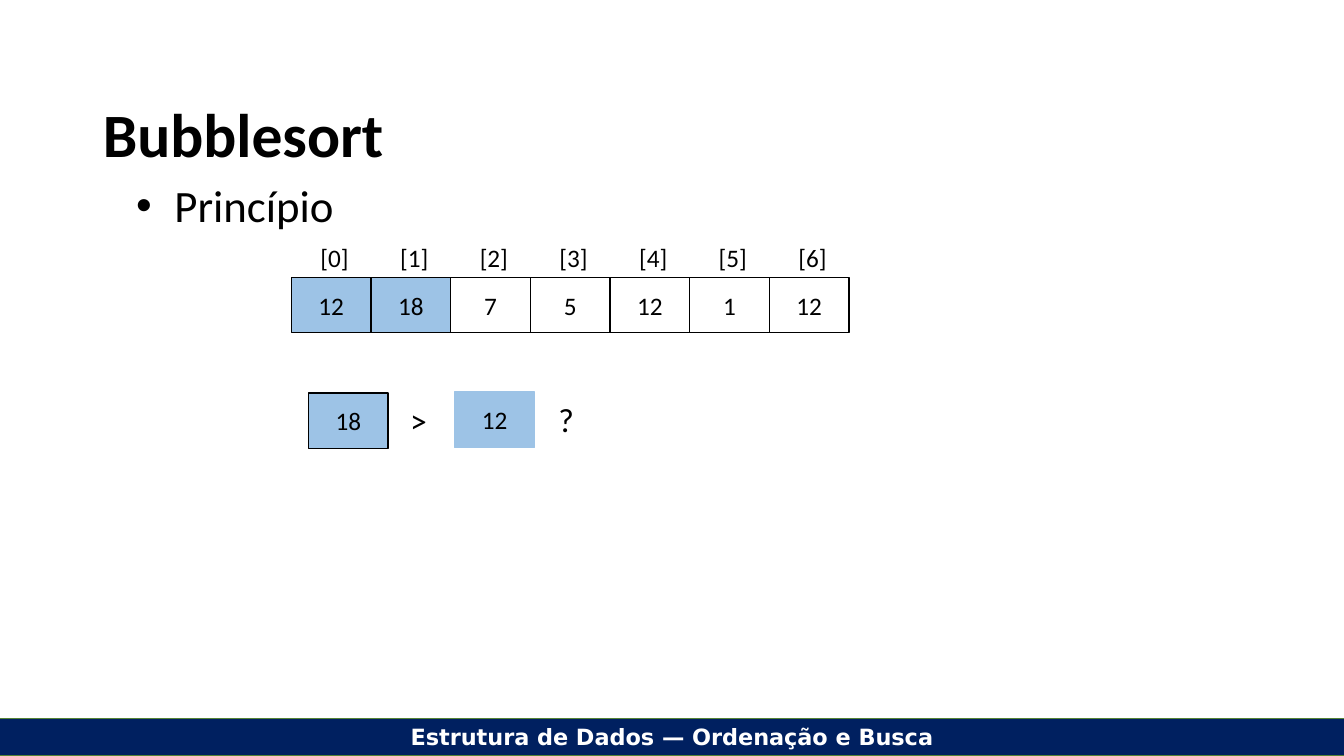
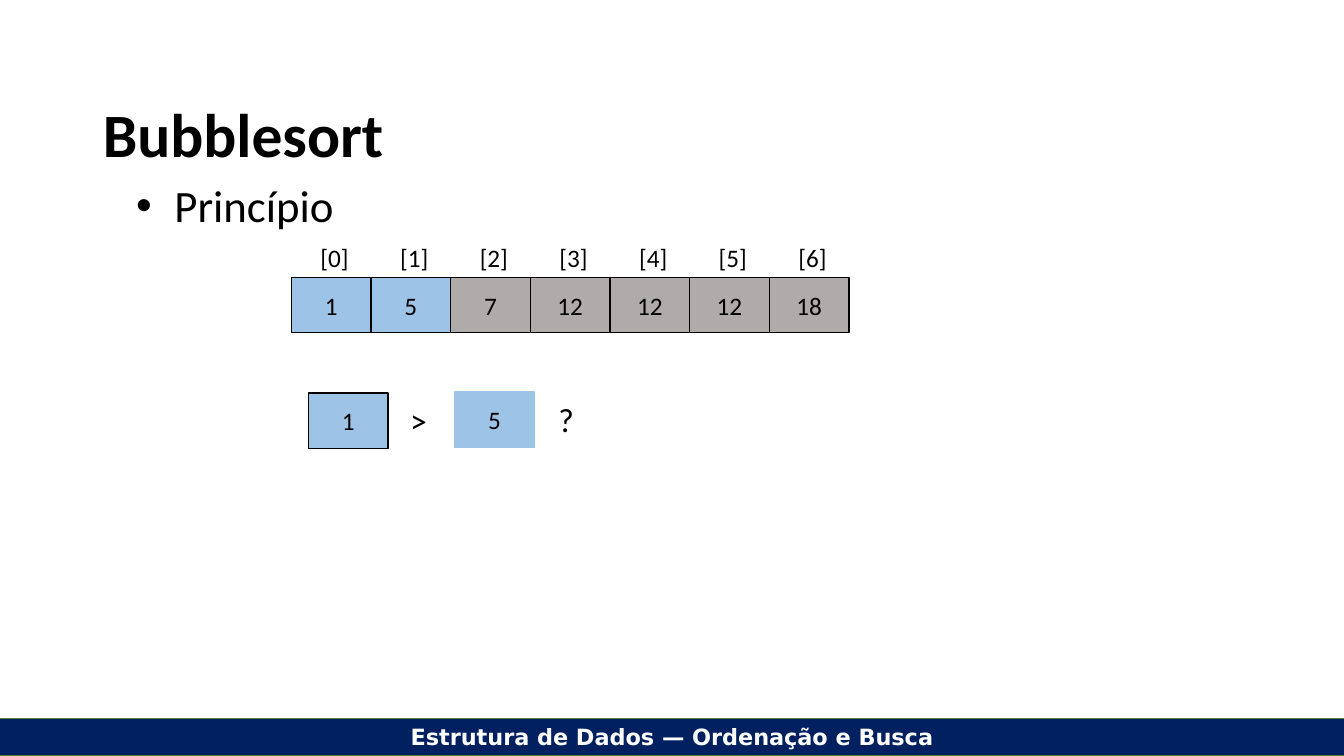
from dataclasses import dataclass

from pptx import Presentation
from pptx.dml.color import RGBColor
from pptx.enum.shapes import MSO_SHAPE
from pptx.enum.text import MSO_ANCHOR, MSO_AUTO_SIZE, PP_ALIGN
from pptx.util import Inches, Pt

RECT = MSO_SHAPE.RECTANGLE
TOP, MIDDLE = MSO_ANCHOR.TOP, MSO_ANCHOR.MIDDLE
LEFT, CENTER, JUSTIFY = PP_ALIGN.LEFT, PP_ALIGN.CENTER, PP_ALIGN.JUSTIFY
FIXED, GROW = MSO_AUTO_SIZE.NONE, MSO_AUTO_SIZE.SHAPE_TO_FIT_TEXT


@dataclass(frozen=True)
class Theme:
    font: str = "Calibri"
    bar_font: str = "DejaVu Sans"
    ink: str = "000000"
    paper: str = "FFFFFF"
    navy: str = "002060"
    green: str = "548235"
    blue: str = "9DC3E6"
    gray: str = "AFABAB"
    title: int = 44
    body: int = 32
    sign: int = 24
    cell: int = 18
    bar: int = 16


THEME = Theme()
CELL_W, CELL_H = 0.79, 0.55
ROW_X, ROW_Y = 2.89, 2.75
STEPS = [
    {"values": [12, 18, 7, 5, 12, 1, 12], "rest": None, "pair": (18, 12)},
    {"values": [1, 5, 7, 12, 12, 12, 18], "rest": THEME.gray, "pair": (1, 5)},
]


def apply(item, formats):
    for name, value in formats.items():
        setattr(item, name, value)


def write(shape, text, size, color=THEME.ink, font=THEME.font, bold=False,
          frame=None, para=None):
    box = shape.text_frame
    box.text = text
    apply(box, {"word_wrap": True, "auto_size": FIXED} | (frame or {}))
    line = box.paragraphs[0]
    apply(line, {"alignment": LEFT} | (para or {}))
    apply(line.font, {"name": font, "size": Pt(size), "bold": bold})
    line.font.color.rgb = RGBColor.from_string(color)


def add_rect(shapes, place, fill, edge, width):
    rect = shapes.add_shape(RECT, *map(Inches, place))
    rect.shadow.inherit = False
    if fill:
        rect.fill.solid()
        rect.fill.fore_color.rgb = RGBColor.from_string(fill)
    else:
        rect.fill.background()
    rect.line.color.rgb = RGBColor.from_string(edge)
    rect.line.width = Pt(width)
    return rect


def add_cell(shapes, left, top, value, fill, edge=THEME.ink):
    cell = add_rect(shapes, (left, top, CELL_W, CELL_H), fill, edge, 1)
    write(cell, str(value), THEME.cell, frame={"vertical_anchor": MIDDLE},
          para={"alignment": CENTER})


def add_label(shapes, place, text, size, wrap):
    label = shapes.add_textbox(*map(Inches, place))
    write(label, text, size, frame={"word_wrap": wrap, "auto_size": GROW})


def fill_holder(holder, place, text, size, **formats):
    names = ("left", "top", "width", "height")
    apply(holder, dict(zip(names, map(Inches, place))))
    write(holder, text, size, **formats)


def add_bar(slide):
    bar = add_rect(slide.shapes, (-0.01, 7.13, 13.35, 0.37),
                   THEME.navy, THEME.green, 0.75)
    write(bar, "Estrutura de Dados — Ordenação e Busca", THEME.bar,
          THEME.paper, THEME.bar_font, True,
          {"vertical_anchor": TOP, "auto_size": GROW}, {"alignment": CENTER})
    slide.slide_layout.shapes.element.append(bar.element)


def add_heads(slide):
    fill_holder(slide.shapes.title, (0.92, 0.96, 11.5, 0.81), "Bubblesort",
                THEME.title, bold=True, frame={"vertical_anchor": MIDDLE},
                para={"line_spacing": 0.9})
    body = slide.placeholders[1]
    fill_holder(body, (1.25, 1.77, 11.5, 4.91), "Princípio", THEME.body,
                frame={"vertical_anchor": TOP},
                para={"alignment": JUSTIFY, "line_spacing": 0.9,
                      "space_before": Pt(0)})
    props = body.text_frame.paragraphs[0]._p.get_or_add_pPr()
    props.set("marL", str(Inches(0.38)))
    props.set("indent", str(Inches(-0.38)))


def add_test(slide, pair):
    shapes = slide.shapes.add_group_shape().shapes
    add_cell(shapes, 3.06, 3.9, pair[0], THEME.blue)
    add_cell(shapes, 4.51, 3.89, pair[1], THEME.blue, THEME.blue)
    for left, top, sign in ((3.97, 3.92, ">"), (5.44, 3.91, "?")):
        add_label(shapes, (left, top, 0.4, 0.5), sign, THEME.sign, True)


def add_row(slide, values, rest):
    shapes = slide.shapes.add_group_shape().shapes
    for index, value in enumerate(values):
        left = ROW_X + index * CELL_W
        add_cell(shapes, left, ROW_Y, value, THEME.blue if index < 2 else rest)
        add_label(shapes, (left + 0.19, ROW_Y - 0.4, 0.48, 0.4),
                  f"[{index}]", THEME.cell, False)


def main():
    deck = Presentation()
    apply(deck, {"slide_width": Inches(13.33), "slide_height": Inches(7.5)})
    layout = deck.slide_layouts[1]
    for step in STEPS:
        slide = deck.slides.add_slide(layout)
        add_heads(slide)
        add_test(slide, step["pair"])
        add_row(slide, step["values"], step["rest"])
    add_bar(slide)
    deck.save("out.pptx")


if __name__ == "__main__":
    main()
